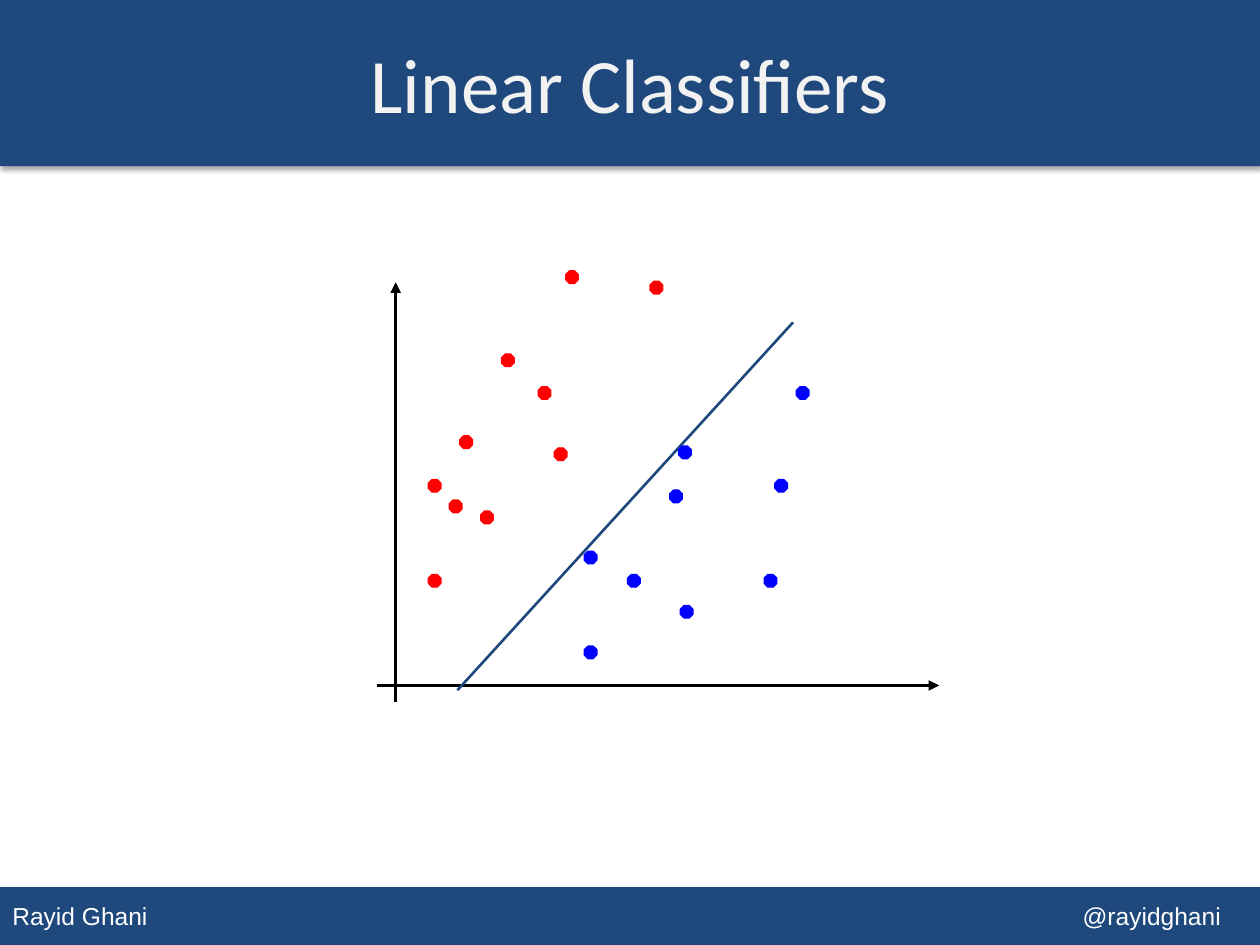
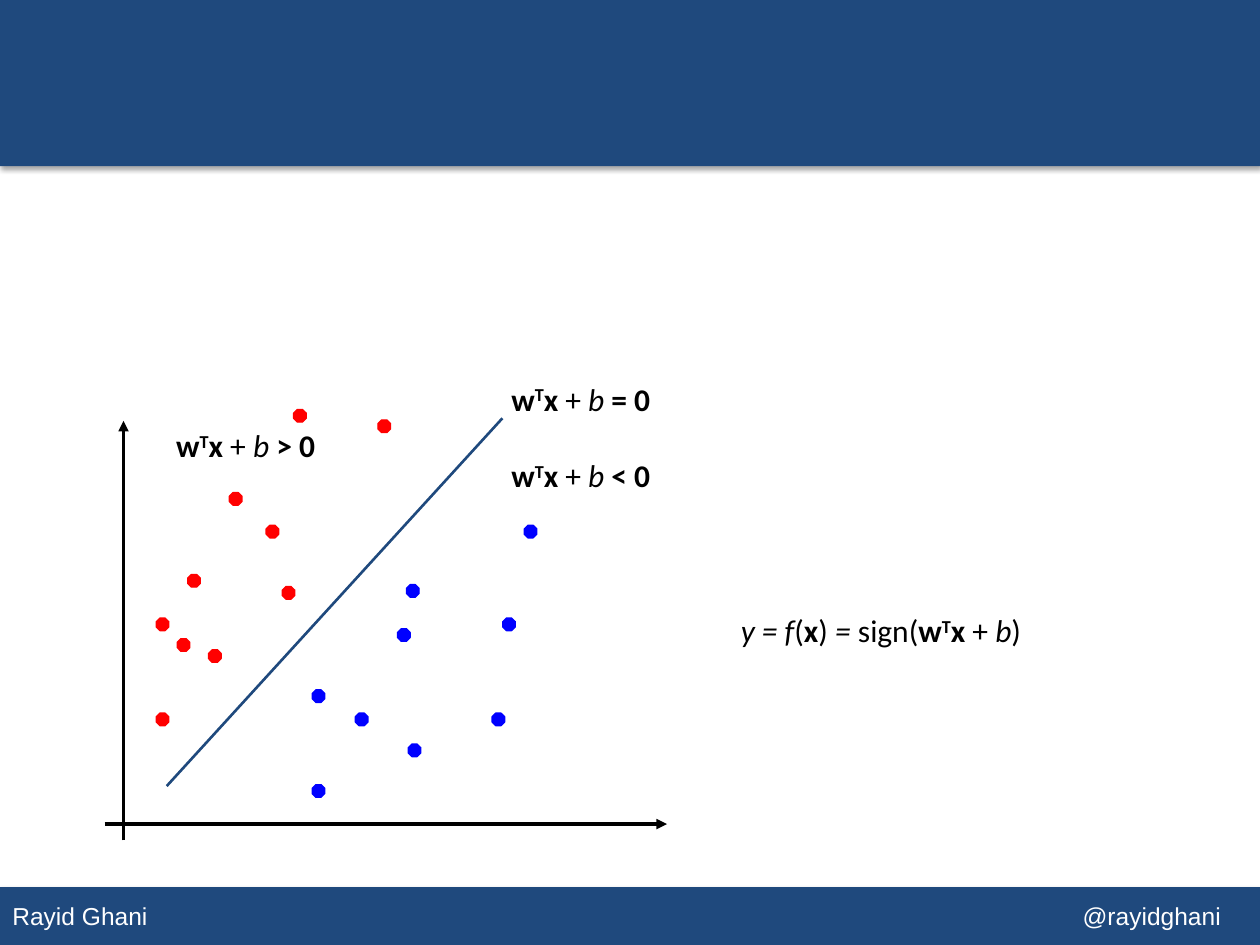
import pptx
import pptx.util
import pptx.dml.color
import pptx.enum.shapes
import pptx.enum.text
import pptx.oxml
import pptx.oxml.ns
import lxml.etree

Pt = pptx.util.Pt
SHAPES = pptx.enum.shapes.MSO_SHAPE
MIDDLE = pptx.enum.text.MSO_ANCHOR.MIDDLE

PAGE_WIDTH, PAGE_HEIGHT = 720, 540
HEADER_BOX = (0, 0, PAGE_WIDTH, 95)
FOOTER_BOX = (0, 506.9, PAGE_WIDTH, 33.1)
TITLE_BOX = (0, 2.2, PAGE_WIDTH, 90)
TITLE_LAYOUT, BLANK_LAYOUT = 5, 6

COLOURS = {
    "navy": "1F497D",
    "title": "F2F2F2",
    "white": "FFFFFF",
    "black": "000000",
    "red": "FF0000",
    "blue": "0000FF",
}

# Upper left corners of the dots, relative to the plot box
DOT_SIZE = 7.2
DOTS = {
    "red": [(92.3, 66.2), (47.5, 94.3), (59.4, 137.3), (29.5, 173.5),
            (71.3, 47.5), (29.5, 119.2), (41.5, 131), (101.5, 101.2),
            (108, 0), (156.2, 6)],
    "blue": [(172.5, 100.1), (143.3, 173.5), (221.4, 173.5), (118.6, 214.4),
             (167.4, 125.3), (118.6, 160.2), (173.5, 191.2), (227.5, 119.2),
             (239.8, 66.2)],
}
SEPARATOR_RUN, SEPARATOR_RISE = 191.8, 210.2

# Each part of a formula is its text and its style: b bold, i italic, ^ raised
LINEAR_FUNCTION = [("w", "b"), ("T", "b^"), ("x ", "b"), ("+ ", ""), ("b", "i")]
DECISION_RULE = [("y = f", "i"), ("(", ""), ("x", "b"), (")", ""), (" = ", "i"),
                 ("sign(", ""), *LINEAR_FUNCTION, (")", "")]


def colour(name):
    return pptx.dml.color.RGBColor.from_string(COLOURS[name])


def format_font(font, name, size, colour_name):
    font.name = name
    font.size = Pt(size)
    font.color.rgb = colour(colour_name)


def add_filled_shape(page, kind, box, colour_name):
    shape = page.shapes.add_shape(kind, *map(Pt, box))
    shape.shadow.inherit = False
    shape.fill.solid()
    shape.fill.fore_color.rgb = colour(colour_name)
    shape.line.fill.background()
    return shape


def add_band(page, box):
    """Add a navy band with a soft shadow below it."""
    band = add_filled_shape(page, SHAPES.RECTANGLE, box, "navy")
    effects = band.element.spPr.find(pptx.oxml.ns.qn("a:effectLst"))
    effects.append(pptx.oxml.parse_xml(
        f'<a:outerShdw {pptx.oxml.ns.nsdecls("a")} blurRad="{Pt(3.1)}" '
        f'dist="{Pt(1.8)}" dir="5400000" rotWithShape="0">'
        f'<a:srgbClr val="{COLOURS["black"]}"><a:alpha val="35000"/></a:srgbClr>'
        '</a:outerShdw>'))
    return band


def add_footer(page):
    frame = add_band(page, FOOTER_BOX).text_frame
    frame.vertical_anchor = MIDDLE
    frame.margin_left = Pt(7.2)
    frame.text = "Rayid Ghani\t@rayidghani"
    para = frame.paragraphs[0]
    para.alignment = pptx.enum.text.PP_ALIGN.LEFT
    properties = para._p.get_or_add_pPr()
    tabs = lxml.etree.SubElement(properties, pptx.oxml.ns.qn("a:tabLst"))
    lxml.etree.SubElement(tabs, pptx.oxml.ns.qn("a:tab"), pos=str(Pt(690.6)), algn="r")
    for span in para.runs:
        format_font(span.font, "Arial", 14, "white")


def add_title(page, text):
    title = page.shapes.title
    title.left, title.top, title.width, title.height = map(Pt, TITLE_BOX)
    title.text_frame.text = text
    title.text_frame.vertical_anchor = MIDDLE
    para = title.text_frame.paragraphs[0]
    para.alignment = pptx.enum.text.PP_ALIGN.CENTER
    format_font(para.runs[0].font, "Calibri", 44, "title")
    # The title stands in front of the header band
    title.element.getparent().append(title.element)


def add_page(deck, title=None):
    page = deck.slides.add_slide(deck.slide_layouts[TITLE_LAYOUT if title else BLANK_LAYOUT])
    add_footer(page)
    add_band(page, HEADER_BOX)
    if title:
        add_title(page, title)
    return page


def add_line(page, start, end, colour_name, width, arrow=False):
    line = page.shapes.add_connector(
        pptx.enum.shapes.MSO_CONNECTOR.STRAIGHT, *map(Pt, (*start, *end)))
    line.line.color.rgb = colour(colour_name)
    line.line.width = Pt(width)
    if arrow:
        lxml.etree.SubElement(line.line._get_or_add_ln(),
                              pptx.oxml.ns.qn("a:tailEnd"), type="triangle")
    lxml.etree.SubElement(line.element.spPr, pptx.oxml.ns.qn("a:effectLst"))


def add_plot(page, left, top, separator_start):
    """Draw axes, dots and separating line; separator_start is relative to the plot."""
    def place(x, y):
        return left + x, top + y

    add_line(page, place(10.8, 246.2), place(10.8, 6.5), "black", 2, arrow=True)
    add_line(page, place(0, 236.9), place(321.4, 236.9), "black", 2, arrow=True)
    x, y = separator_start
    add_line(page, place(x, y), place(x + SEPARATOR_RUN, y - SEPARATOR_RISE), "navy", 1.5)
    for colour_name, corners in DOTS.items():
        for corner in corners:
            box = (*place(*corner), DOT_SIZE, DOT_SIZE)
            dot = add_filled_shape(page, SHAPES.OCTAGON, box, colour_name)
            dot.line.color.rgb = colour(colour_name)
            dot.line.width = Pt(0.75)


def add_formula(page, box, parts):
    frame = page.shapes.add_textbox(*map(Pt, box)).text_frame
    frame.word_wrap = True
    para = frame.paragraphs[0]
    for text, style in parts:
        span = para.add_run()
        span.text = text
        format_font(span.font, "Calibri", 18, "black")
        span.font.bold = "b" in style
        span.font.italic = "i" in style
        if "^" in style:
            span._r.get_or_add_rPr().set("baseline", "30000")


def add_classifier_page(deck):
    page = add_page(deck, "Linear Classifiers")
    add_plot(page, 215.3, 154.8, separator_start=(46.1, 239.6))


def add_decision_page(deck):
    page = add_page(deck)
    left, top = 59.8, 234
    add_plot(page, left, top, separator_start=(35.5, 215.2))
    for x, y, relation in [(225.3, -20.6, " = 0"), (225.3, 23.3, " < 0"), (33.8, 6, " > 0")]:
        add_formula(page, (left + x, top + y, 210, 36), [*LINEAR_FUNCTION, (relation, "b")])
    add_formula(page, (416.2, 345.8, 231, 29), DECISION_RULE)


def main():
    deck = pptx.Presentation()
    deck.slide_width, deck.slide_height = Pt(PAGE_WIDTH), Pt(PAGE_HEIGHT)
    add_classifier_page(deck)
    add_decision_page(deck)
    deck.save("out.pptx")


if __name__ == "__main__":
    main()
